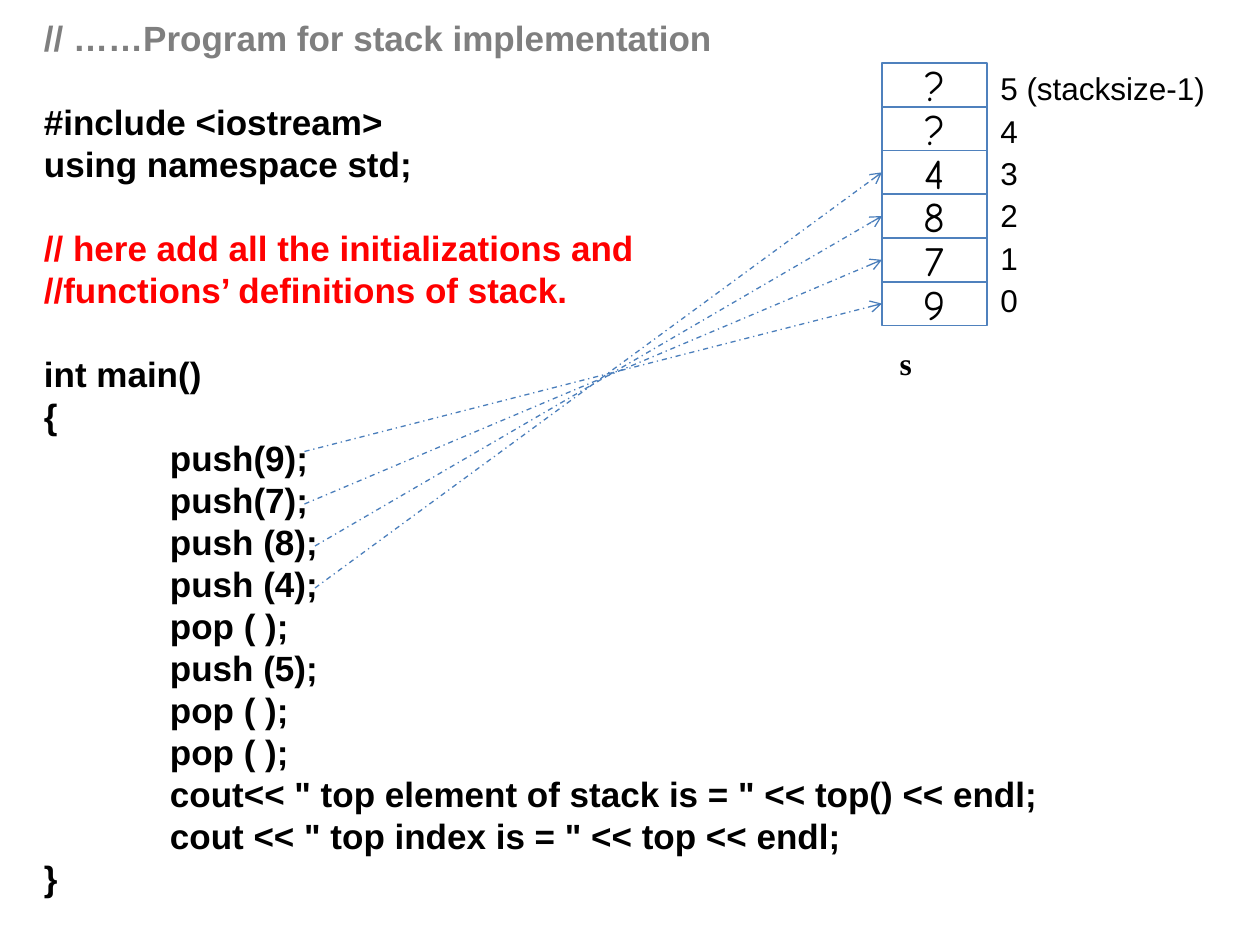
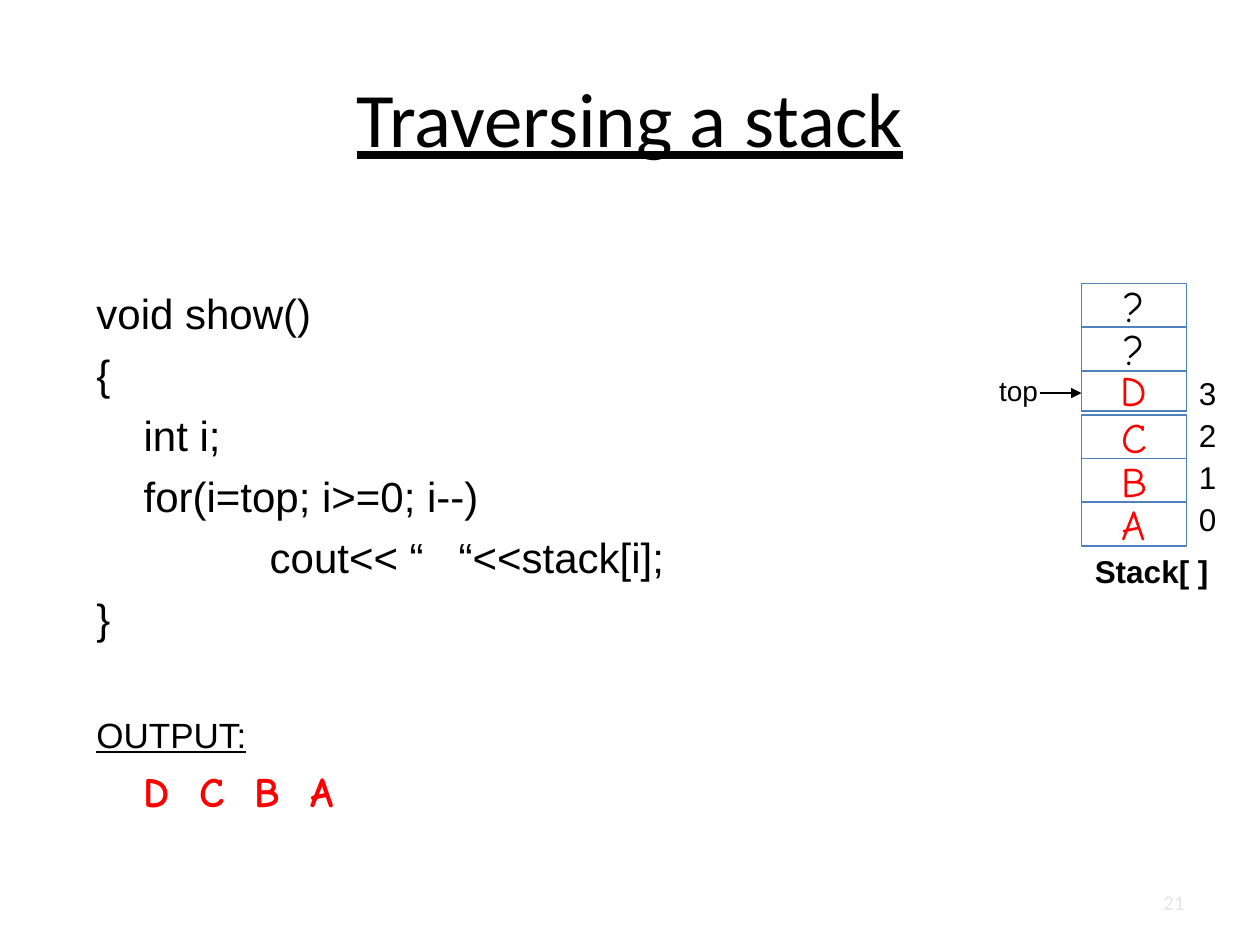
from lxml import etree
from pptx import Presentation
from pptx.dml import color as dml
from pptx.enum import dml as line, shapes, text
from pptx.oxml import ns
from pptx.util import Pt

BLACK, WHITE, RED = "000000", "FFFFFF", "FF0000"
GRAY, PALE = "7F7F7F", "E6E6E6"
EDGE, WIRE = "4F81BD", "4A7EBB"
SANS, COMIC = "Arial", "Comic Neue"
LEFT, MID, RIGHT = text.PP_ALIGN.LEFT, text.PP_ALIGN.CENTER, text.PP_ALIGN.RIGHT
CELL_W, CELL_H = 60, 25


def rgb(code):
    return dml.RGBColor.from_string(code)


class Deck:
    def __init__(self):
        self.file = Presentation()
        self.file.slide_width, self.file.slide_height = Pt(720), Pt(540)
        self.slide = None

    def page(self):
        self.slide = self.file.slides.add_slide(self.file.slide_layouts[6])

    def run(self, para, words, size, face=SANS, tint=BLACK, bold=False, under=False):
        run = para.add_run()
        run.text = words
        font = run.font
        font.size, font.name, font.bold = Pt(size), face, bold
        font.underline = under
        font.color.rgb = rgb(tint)

    def tabs(self, para, stops):
        tabs = etree.SubElement(para._p.get_or_add_pPr(), ns.qn("a:tabLst"))
        for stop in stops:
            etree.SubElement(tabs, ns.qn("a:tab"), pos=str(Pt(stop)), algn="l")

    def text(self, box, lines, stops=(), align=LEFT, middle=False):
        frame = self.slide.shapes.add_textbox(*map(Pt, box)).text_frame
        frame.word_wrap = True
        if middle:
            frame.vertical_anchor = text.MSO_ANCHOR.MIDDLE
        for i, (words, gap, style) in enumerate(lines):
            para = frame.add_paragraph() if i else frame.paragraphs[0]
            if stops:
                self.tabs(para, stops)
            para.alignment = align
            para.line_spacing = Pt(style["size"] * 1.2)
            para.space_before = Pt(gap)
            self.run(para, words, **style)

    def label(self, x, y, w, words, size=18, h=29, align=LEFT, middle=False, **style):
        self.text((x, y, w, h), [(words, 0, dict(size=size, **style))],
                  align=align, middle=middle)

    def cell(self, x, y, mark, tint):
        cell = self.slide.shapes.add_shape(
            shapes.MSO_SHAPE.RECTANGLE, Pt(x), Pt(y), Pt(CELL_W), Pt(CELL_H))
        cell.shadow.inherit = False
        cell.fill.solid()
        cell.fill.fore_color.rgb = rgb(WHITE)
        cell.line.color.rgb = rgb(EDGE)
        cell.line.width = Pt(1)
        frame = cell.text_frame
        frame.word_wrap = False
        frame.vertical_anchor = text.MSO_ANCHOR.MIDDLE
        para = frame.paragraphs[0]
        para.alignment = MID
        self.run(para, mark, 24, COMIC, tint)

    def stack(self, x, tops, marks, tint):
        for y, mark in reversed(list(zip(tops, marks))):
            self.cell(x, y, mark, BLACK if mark == "?" else tint)

    def arrow(self, start, end, tint, head, dash=None):
        wire = self.slide.shapes.add_connector(
            shapes.MSO_CONNECTOR.STRAIGHT, *map(Pt, start + end))
        wire.line.color.rgb = rgb(tint)
        wire.line.width = Pt(0.75)
        if dash:
            wire.line.dash_style = dash
        etree.SubElement(wire.line._get_or_add_ln(), ns.qn("a:tailEnd"), type=head)
        etree.SubElement(wire._element.spPr, ns.qn("a:effectLst"))


def build_push(deck):
    deck.page()
    code = dict(size=20, bold=True)
    note, warn = dict(code, tint=GRAY), dict(code, tint=RED)
    body = ["{", "\tpush(9);", "\tpush(7);", "\tpush (8);", "\tpush (4);",
            "\tpop ( );", "\tpush (5);", "\tpop ( );", "\tpop ( );",
            '\tcout<< " top element of stack is = " << top() << endl;',
            '\tcout << " top index is = " << top << endl;', "}"]
    deck.text((18, 5.8, 666, 512), [
        ("// ……Program for stack implementation", 0, note),
        ("#include <iostream>", 24, code),
        ("using namespace std;", 0, code),
        ("// here add all the initializations and", 24, warn),
        ("//functions’ definitions of stack.", 0, warn),
        ("int main()", 24, code),
        *((words, 0, code) for words in body)], stops=[72])
    deck.label(507, 193, 30, "s", face="Times New Roman", bold=True)
    deck.stack(504, [36 + CELL_H * i for i in range(6)], "??4879", BLACK)
    for i, words in enumerate(["5 (stacksize-1)", "4", "3", "2", "1", "0"]):
        deck.label(564.5, 36 + 24.2 * i, 145, words)
    for i, start in enumerate([(174, 258), (174, 288), (180, 312), (180, 336)]):
        deck.arrow(start, (504, 173.5 - CELL_H * i), WIRE, "arrow",
                   line.MSO_LINE.DASH_DOT)


def build_show(deck):
    deck.page()
    deck.label(36, 21.6, 648, "Traversing a stack", 44, h=90, align=MID,
               middle=True, face="Calibri", under=True)
    code = dict(size=24)
    body = ["{", "\tint i;", "\tfor(i=top; i>=0; i--)", "\t\tcout<< “   “<<stack[i];", "}"]
    deck.text((48, 161, 600, 230), [
        ("void show()", 0, code),
        *((words, 6, code) for words in body)], stops=[27, 99])
    deck.text((48, 404, 600, 70), [
        ("OUTPUT:", 0, dict(size=20, under=True)),
        ("\tD\tC\tB\tA", 6, dict(size=24, face=COMIC, tint=RED, bold=True))],
        stops=[27 + 31.7 * i for i in range(4)])
    deck.stack(618, [162, 187, 210, 237, 262, 287], "??DCBA", RED)
    deck.label(560, 210, 44, "top", 16, h=27, align=MID)
    deck.arrow((594, 224.6), (618, 224.6), BLACK, "triangle")
    for i, digit in enumerate("3210"):
        deck.label(678, 210 + 24 * i, 30, digit)
    deck.label(618.5, 312, 90, "Stack[ ]", bold=True)
    deck.label(584, 501, 100, "21", 12, align=RIGHT, middle=True,
               face="Calibri", tint=PALE)


def main():
    deck = Deck()
    build_push(deck)
    build_show(deck)
    deck.file.save("out.pptx")


if __name__ == "__main__":
    main()
